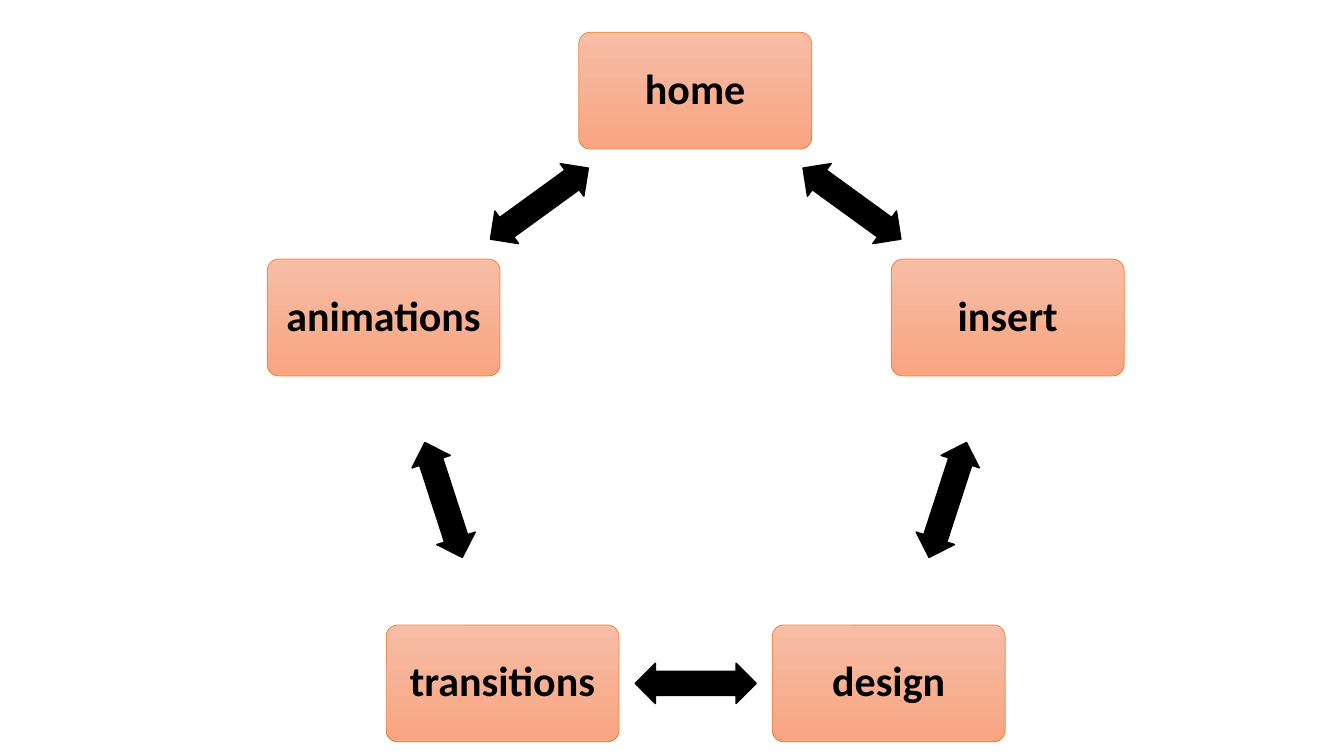
import math

import pptx
import pptx.dml.color
import pptx.enum.shapes
import pptx.enum.text
import pptx.util

PX = 9144  # 100 px to the inch
THEME = {
    "box_top": "F7BDA5",
    "box_bottom": "F8A582",
    "box_line": "ED7D31",
    "ink": "000000",
    "font": "Calibri",
    "label_size": 30,
}
STEPS = ["home", "insert", "design", "transitions", "animations"]
CENTER_X, CENTER_Y, RADIUS = 690, 415, 325
BOX_WIDTH, BOX_HEIGHT = 231, 116
ARROW_WIDTH, ARROW_HEIGHT = 120, 40
MARGIN = 15


def rgb(name):
    return pptx.dml.color.RGBColor.from_string(THEME[name])


def add_on_ring(kind, angle, radius, width, height):
    """Add a shape centred at an angle clockwise from the top of the ring."""
    x = CENTER_X + radius * math.sin(math.radians(angle))
    y = CENTER_Y - radius * math.cos(math.radians(angle))
    left, top = round(x - width / 2), round(y - height / 2)
    shape = slide.shapes.add_shape(kind, left * PX, top * PX, width * PX, height * PX)
    shape.shadow.inherit = False
    return shape


presentation = pptx.Presentation()
presentation.slide_width = 1333 * PX
presentation.slide_height = 750 * PX
slide = presentation.slides.add_slide(presentation.slide_layouts[6])

step_angle = 360 / len(STEPS)
arrow_radius = RADIUS * math.cos(math.radians(step_angle / 2))

for index, label in enumerate(STEPS):
    angle = index * step_angle
    box = add_on_ring(pptx.enum.shapes.MSO_SHAPE.ROUNDED_RECTANGLE,
                      angle, RADIUS, BOX_WIDTH, BOX_HEIGHT)
    box.adjustments[0] = 0.1
    box.fill.gradient()
    box.fill.gradient_angle = 270
    for stop, color, position in zip(box.fill.gradient_stops, ("box_top", "box_bottom"), (0, 1)):
        stop.color.rgb = rgb(color)
        stop.position = position
    box.line.color.rgb = rgb("box_line")
    box.line.width = pptx.util.Pt(0.5)

    text_frame = box.text_frame
    text_frame.text = label
    text_frame.word_wrap = True
    text_frame.vertical_anchor = pptx.enum.text.MSO_ANCHOR.MIDDLE
    text_frame.margin_left = text_frame.margin_right = MARGIN * PX
    text_frame.margin_top = text_frame.margin_bottom = MARGIN * PX
    paragraph = text_frame.paragraphs[0]
    paragraph.alignment = pptx.enum.text.PP_ALIGN.CENTER
    paragraph.line_spacing = 0.9
    font = paragraph.runs[0].font
    font.name = THEME["font"]
    font.size = pptx.util.Pt(THEME["label_size"])
    font.bold = True
    font.color.rgb = rgb("ink")

    arrow_angle = angle + step_angle / 2
    arrow = add_on_ring(pptx.enum.shapes.MSO_SHAPE.LEFT_RIGHT_ARROW,
                        arrow_angle, arrow_radius, ARROW_WIDTH, ARROW_HEIGHT)
    arrow.adjustments[0] = 0.6
    arrow.adjustments[1] = 0.5
    arrow.rotation = arrow_angle
    arrow.fill.solid()
    arrow.fill.fore_color.rgb = rgb("ink")
    arrow.line.color.rgb = rgb("ink")
    arrow.line.width = pptx.util.Pt(1)

presentation.save("out.pptx")
